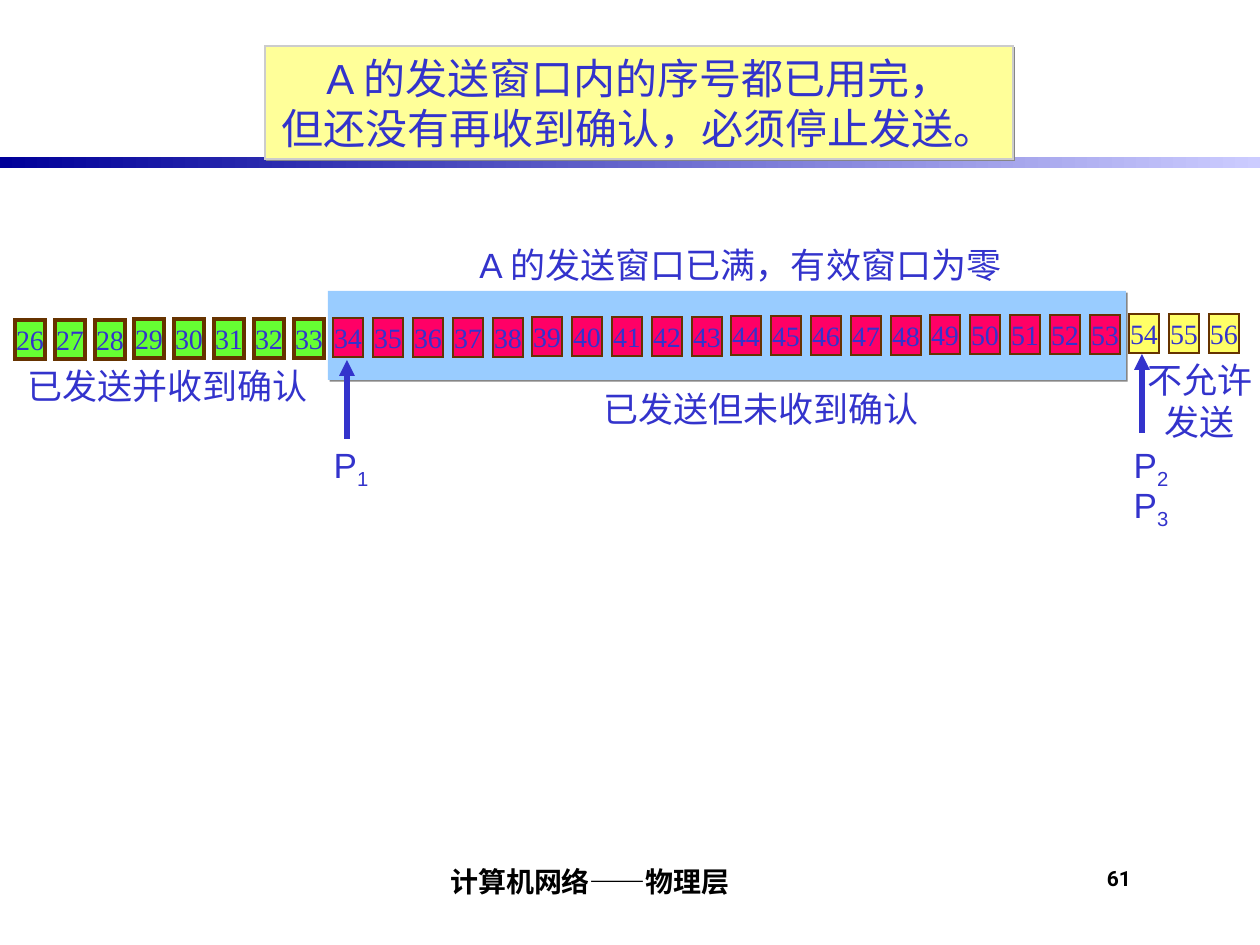
import pptx
import pptx.dml.color
import pptx.enum.shapes
import pptx.enum.text
import pptx.oxml
import pptx.oxml.ns
import pptx.util

PX = 914400 // 126
COLORS = {
    "text": "3333CC", "black": "000000", "white": "FFFFFF",
    "band_dark": "000099", "band_light": "CCCCFF",
    "title": "FFFF99", "title_line": "CCCCCC", "shadow": "868686",
    "window": "99CCFF", "cell_line": "663300",
    "acked": "66FF33", "sent": "FF0066", "blocked": "FFFF66",
}
NS = pptx.oxml.ns.nsdecls("a")
ALIGN = pptx.enum.text.PP_ALIGN
ANCHOR = pptx.enum.text.MSO_ANCHOR


def px(*values):
    return [pptx.util.Emu(v * PX) for v in values]


def rgb(name):
    return pptx.dml.color.RGBColor.from_string(COLORS[name])


def write_text(tf, text, size=20, font="Arial", color="text", bold=False,
               align=ALIGN.CENTER, anchor=ANCHOR.TOP, wrap=False,
               insets=(0.1, 0.05, 0.1, 0.05), sub=""):
    """Fill a text frame, one paragraph a line; sub is a closing subscript."""
    tf.auto_size = pptx.enum.text.MSO_AUTO_SIZE.NONE
    tf.word_wrap = wrap
    tf.vertical_anchor = anchor
    (tf.margin_left, tf.margin_top,
     tf.margin_right, tf.margin_bottom) = map(pptx.util.Inches, insets)
    for i, line in enumerate(text.split("\n")):
        p = tf.add_paragraph() if i else tf.paragraphs[0]
        p.alignment = align
        for part in filter(None, (line, sub)):
            r = p.add_run()
            r.text = part
            r.font.size = pptx.util.Pt(size)
            r.font.name = font
            r.font.bold = bold
            r.font.color.rgb = rgb(color)
            if part == sub:
                r.font._element.set("baseline", "-25000")


class SlideBuilder:
    def __init__(self, prs):
        layout = prs.slide_layouts.get_by_name("Title Only")
        self.slide = prs.slides.add_slide(layout)
        self.shapes = self.slide.shapes

    def style(self, sp, fill, line=None, width=0.75, shadow=False):
        sp.fill.solid()
        sp.fill.fore_color.rgb = rgb(fill)
        if line:
            sp.line.color.rgb = rgb(line)
            sp.line.width = pptx.util.Pt(width)
            sp.line._get_or_add_ln().append(
                pptx.oxml.parse_xml(f'<a:miter {NS} lim="800000"/>'))
        else:
            sp.line.fill.background()
        sp.shadow.inherit = False
        if shadow:
            effects = sp._element.spPr.find(pptx.oxml.ns.qn("a:effectLst"))
            effects.append(pptx.oxml.parse_xml(
                f'<a:outerShdw {NS} blurRad="0" dist="17780" dir="2700000" '
                f'algn="ctr" rotWithShape="0">'
                f'<a:srgbClr val="{COLORS["shadow"]}"/></a:outerShdw>'))

    def title(self, text, x, y, w, h):
        sp = self.shapes.title
        sp.left, sp.top, sp.width, sp.height = px(x, y, w, h)
        self.style(sp, "title", "title_line", shadow=True)
        write_text(sp.text_frame, text, size=24)
        self.shapes._spTree.append(sp._element)  # bring to front

    def box(self, x, y, w, h, fill, **style):
        sp = self.shapes.add_shape(
            pptx.enum.shapes.MSO_SHAPE.RECTANGLE, *px(x, y, w, h))
        self.style(sp, fill, **style)
        return sp

    def band(self, x, y, w, h):
        sp = self.box(x, y, w, h, "band_dark")
        sp.fill.gradient()
        sp.fill.gradient_angle = 180
        for stop, name in zip(sp.fill.gradient_stops,
                              ("band_light", "band_dark")):
            stop.color.rgb = rgb(name)

    def cell(self, x, y, number, fill, width):
        sp = self.box(x, y, 30, 39, fill, line="cell_line", width=width)
        write_text(sp.text_frame, str(number), size=16,
                   font="Times New Roman", anchor=ANCHOR.MIDDLE)

    def label(self, text, x, y, w, h, fill=None, **fmt):
        sp = self.shapes.add_textbox(*px(x, y, w, h))
        if fill:
            self.style(sp, fill)
        write_text(sp.text_frame, text, **fmt)

    def arrow(self, x, bottom, top):
        line = self.shapes.add_connector(
            pptx.enum.shapes.MSO_CONNECTOR.STRAIGHT, *px(x, bottom, x, top))
        line.line.color.rgb = rgb("text")
        line.line.width = pptx.util.Pt(3)
        line.line._get_or_add_ln().append(
            pptx.oxml.parse_xml(f'<a:tailEnd {NS} type="triangle"/>'))
        line._element.spPr.append(
            pptx.oxml.parse_xml(f"<a:effectLst {NS}/>"))


def main():
    prs = pptx.Presentation()
    prs.slide_width, prs.slide_height = px(1260, 945)
    s = SlideBuilder(prs)

    # Header band and footer
    s.band(0, 157, 1260, 11)
    s.label("61", 1102, 861, 73, 53, size=12, font="Roboto", color="black",
            bold=True, align=ALIGN.LEFT, wrap=True, insets=(0.04, 0.04, 0, 0))
    s.label("计算机网络——物理层", 262, 850, 651, 53, size=16, font="Roboto",
            color="black", bold=True, anchor=ANCHOR.BOTTOM, wrap=True,
            insets=(0.04, 0, 0, 0.04))

    # Range labels
    s.label("不允许\n发送", 1135, 352, 130, 97)
    s.label("已发送并收到确认", 10, 358, 315, 55, fill="white")
    s.label("A 的发送窗口已满，有效窗口为零", 467, 237, 557, 55, fill="white",
            align=ALIGN.LEFT)

    # Send window
    s.box(328, 291, 798, 89, "window", shadow=True)
    s.label("已发送但未收到确认", 591, 381, 350, 55, align=ALIGN.LEFT)

    # Sequence numbers 26 to 56, rising slightly to the right
    for i in range(31):
        number = 26 + i
        if number < 34:
            fill, width = "acked", 2.25
        else:
            fill, width = ("sent" if number < 54 else "blocked"), 0.75
        s.cell(15 + round(39.8 * i), 320 - round(0.2 * i), number, fill, width)

    # Pointers
    s.arrow(347, 439, 360)
    s.arrow(1142, 433, 354)
    for sub, x, y in (("1", 316, 437), ("2", 1116, 437), ("3", 1116, 477)):
        s.label("P", x, y, 70, 60, sub=sub)

    # Title box
    s.title("A 的发送窗口内的序号都已用完，\n但还没有再收到确认，必须停止发送。 ",
            265, 46, 748, 113)

    prs.save("out.pptx")


if __name__ == "__main__":
    main()
